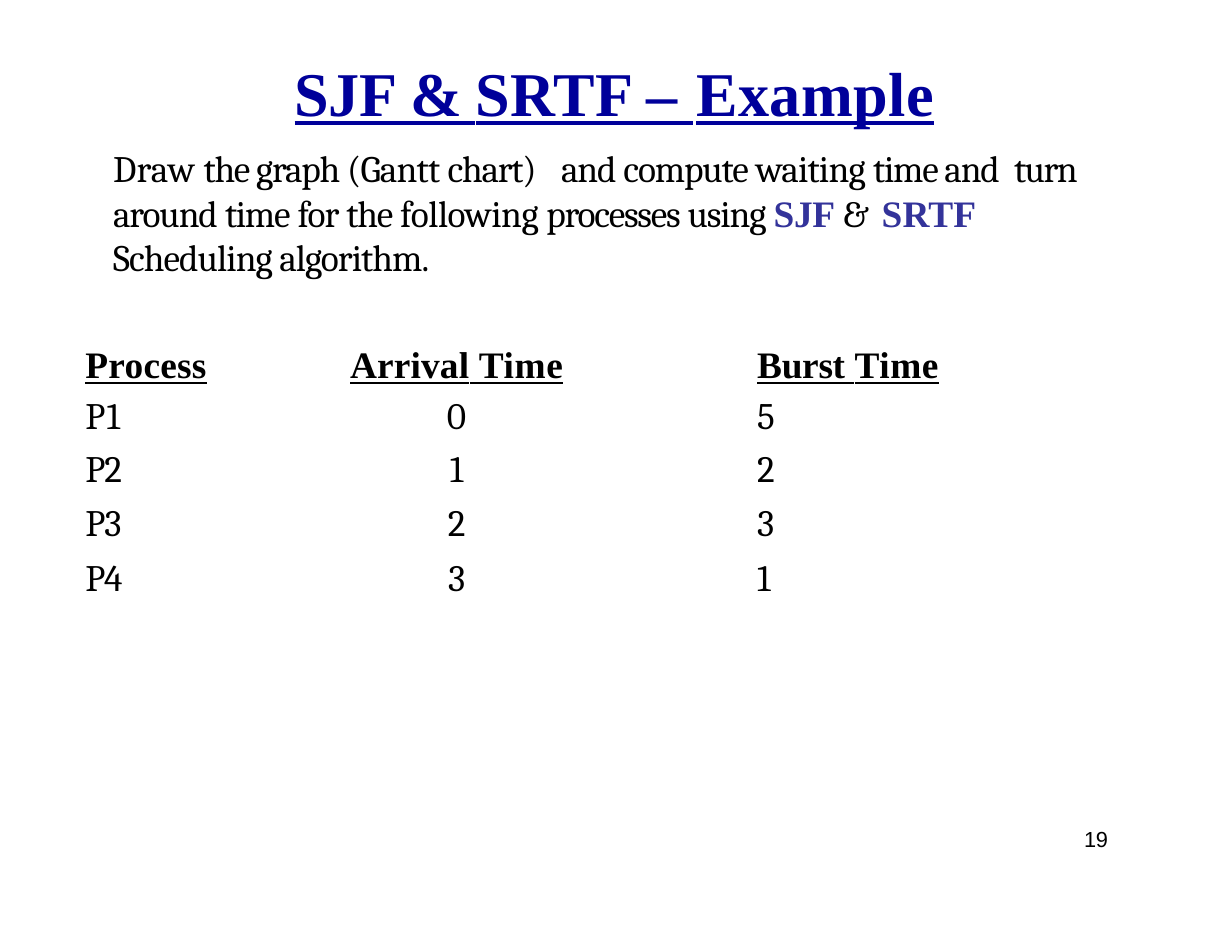
from pptx import Presentation
from pptx import util as u
from pptx.dml import color
from pptx.enum import text
from lxml import etree

Pt = u.Pt
SERIF = "Times New Roman"
BODY = "Cambria"


def paint(font, tone):
    font.color.rgb = color.RGBColor.from_string(tone)


def add_run(para, words, face, size, tone="000000", gap=0, bold=False, line=False):
    run = para.add_run()
    run.text = words
    font = run.font
    font.name, font.size, font.bold, font.underline = face, Pt(size), bold, line
    paint(font, tone)
    run._r.get_or_add_rPr().set("spc", str(round(gap * 100)))


def set_para(para, left=0, right=0, before=0, space=None, align=text.PP_ALIGN.LEFT):
    para.alignment = align
    para.space_before = Pt(before)
    if space:
        para.line_spacing = space
    props = para._p.get_or_add_pPr()
    props.set("marL", str(Pt(left)))
    props.set("marR", str(Pt(right)))
    props.set("indent", "0")
    return props


def set_frame(frame, top=1):
    frame.margin_left = frame.margin_right = frame.margin_bottom = 0
    frame.margin_top = Pt(top)
    frame.word_wrap = True
    frame.vertical_anchor = text.MSO_ANCHOR.TOP
    frame.auto_size = text.MSO_AUTO_SIZE.SHAPE_TO_FIT_TEXT
    return frame.paragraphs[0]


def add_box(slide, box):
    return set_frame(slide.shapes.add_textbox(*map(Pt, box)).text_frame)


def add_title(slide, box):
    title = slide.shapes.title
    title.left, title.top, title.width, title.height = map(Pt, box)
    para = set_frame(title.text_frame)
    set_para(para, left=3.6, before=1)
    for words, gap in [("SJF ", -0.3), ("& ", -1.2), ("SRTF ", 0.2),
                       ("–", 0), (" ", 1.8), ("Example", 0.3)]:
        add_run(para, words, SERIF, 40, "00009A", gap, True, True)


def add_task(slide, box):
    para = add_box(slide, box)
    props = set_para(para, left=0.7, before=0.8, space=1.0)
    space = "{http://schemas.openxmlformats.org/drawingml/2006/main}"
    tabs = etree.SubElement(props, space + "tabLst")
    etree.SubElement(tabs, space + "tab", pos=str(Pt(311)), algn="l")
    plain = (BODY, 24, "000000")
    strong = (SERIF, 24, "33339A")
    for words, gap, style in [
        ("Draw ", 0.1, plain), ("the graph ", -0.8, plain), ("(Gantt ", -0.5, plain),
        ("chart)\tand ", -0.8, plain), ("compute ", -0.7, plain),
        ("waiting ", -0.5, plain), ("time and", -0.8, plain), (" ", 4, plain),
        ("turn ", -1, plain), ("around ", -0.7, plain), ("time ", -0.8, plain),
        ("for ", -0.7, plain), ("the ", -0.8, plain), ("following ", -0.3, plain),
        ("processes ", -0.8, plain), ("using ", -0.7, plain), ("SJF ", -0.2, strong),
        ("& ", 1.6, plain), ("SRTF ", 0.1, strong),
        ("Scheduling algorithm.", -0.6, plain),
    ]:
        add_run(para, words, *style, gap, style is strong)


def add_grid(slide, box):
    heads = [[("Process", 0.2)],
             [("Arrival", 0.1), (" ", -0.1), ("Time", 0.4)],
             [("Burst", -0.2), (" ", -0.5), ("Time", 0.4)]]
    jobs = [("P1", 0.9, 0, 5), ("P2", -0.6, 1, 2), ("P3", -0.5, 2, 3), ("P4", -0.7, 3, 1)]
    rows = [heads] + [[[(name, gap)], [(str(start), 0)], [(str(burst), 0)]]
                      for name, gap, start, burst in jobs]
    sides = [dict(left=2.2), dict(right=17, align=text.PP_ALIGN.CENTER), dict(left=62)]
    leads = [Pt(22.8), None, None, None, Pt(28.5)]
    tops = [(0, 0), (0.7, 0.6)] + [(1.4, 1.6)] * 3
    table = slide.shapes.add_table(5, 3, *map(Pt, box)).table
    table.first_row = table.horz_banding = False
    for col, width in zip(table.columns, [126.7, 245.5, 182.2]):
        col.width = Pt(width)
    for row, height in zip(table.rows, [28.1, 33.1, 34.6, 34.6, 31]):
        row.height = Pt(height)
    for i, row in enumerate(rows):
        head = i == 0
        inset, before = tops[i]
        for j, parts in enumerate(row):
            cell = table.cell(i, j)
            cell.fill.background()
            cell.margin_left = cell.margin_right = cell.margin_bottom = 0
            cell.margin_top = Pt(inset)
            para = cell.text_frame.paragraphs[0]
            set_para(para, before=before, space=leads[i], **sides[j])
            for words, gap in parts:
                add_run(para, words, SERIF if head else BODY, 24,
                        gap=gap, bold=head, line=head)


def add_page(slide, box):
    para = add_box(slide, box)
    set_para(para, left=0.7, before=0.9)
    add_run(para, "19", "Arial", 14, gap=-0.1)


deck = Presentation()
deck.slide_width, deck.slide_height = Pt(792), Pt(612)
slide = deck.slides.add_slide(deck.slide_layouts[5])
add_title(slide, (185.8, 33.8, 421, 50.4))
add_task(slide, (72, 92.2, 649.4, 88.6))
add_grid(slide, (52.6, 226, 554.4, 162))
add_page(slide, (696.2, 530, 17.3, 18))
deck.save("out.pptx")
